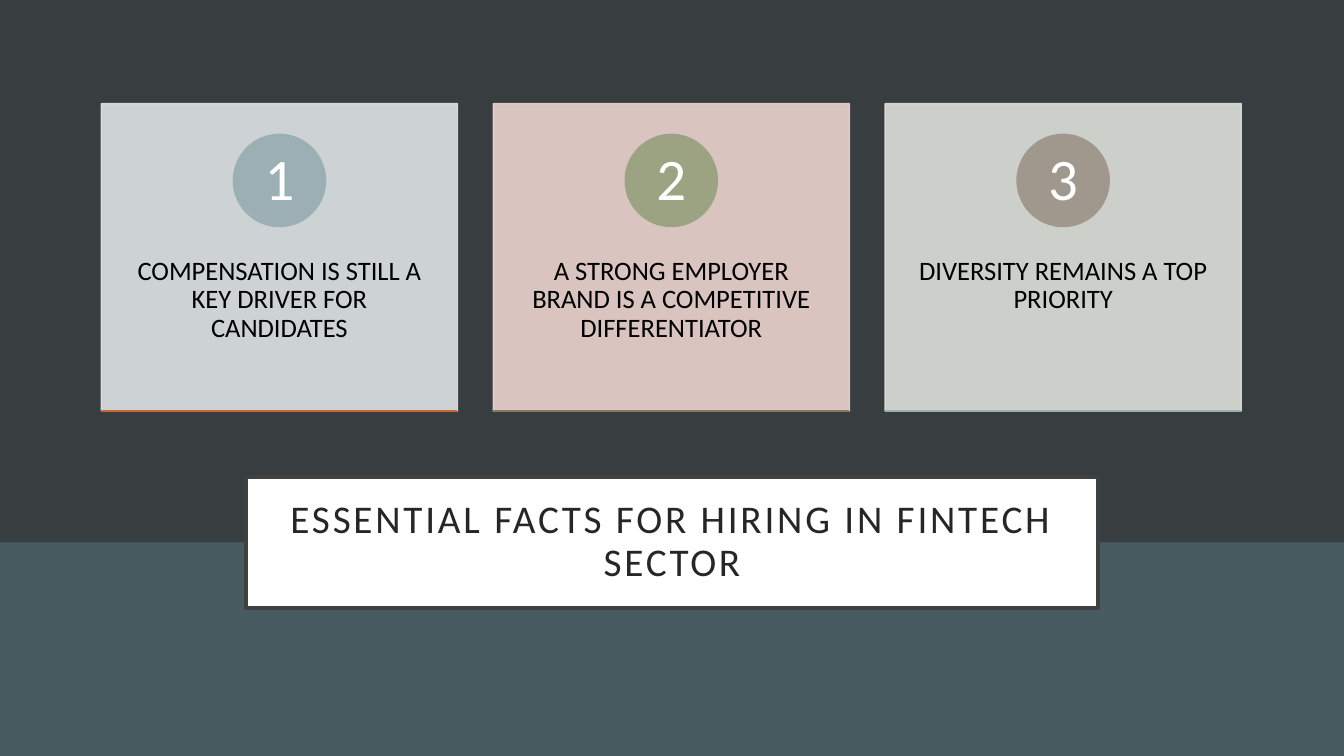
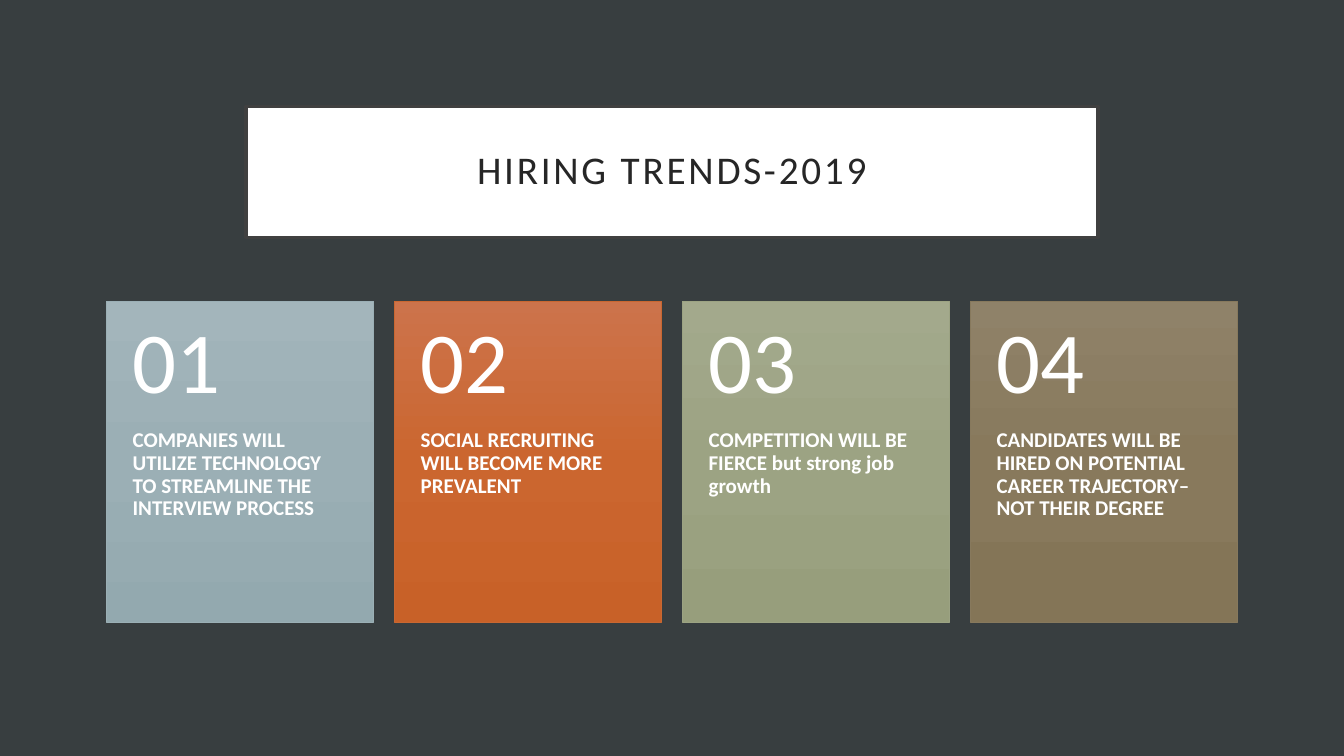
from copy import deepcopy

from lxml.etree import SubElement
from pptx import Presentation
from pptx.dml.color import RGBColor
from pptx.enum.shapes import MSO_CONNECTOR as Connector, MSO_SHAPE as Shape
from pptx.enum.text import MSO_ANCHOR as Anchor, PP_ALIGN as Align
from pptx.oxml.ns import qn
from pptx.util import Pt

FONT = "Calibri"
SLIDE_WIDTH, SLIDE_HEIGHT = 960, 540
DARK, TEAL, WHITE, BLACK = "383E40", "475B61", "FFFFFF", "000000"
TITLE_LINE, TITLE_TEXT = "404040", "262626"
BLUE, ORANGE, GREEN, BROWN, TAUPE = "9BAFB5", "C96731", "9CA383", "87795D", "A0988C"

FACTS_TITLE = "ESSENTIAL FACTS FOR HIRING IN FINTECH SECTOR"
FACTS = [
    ("COMPENSATION IS STILL A KEY DRIVER FOR CANDIDATES", "DEE3E5", BLUE, ORANGE),
    ("A STRONG EMPLOYER BRAND IS A COMPETITIVE DIFFERENTIATOR", "EBD3CE", GREEN, BROWN),
    ("DIVERSITY REMAINS A TOP PRIORITY", "DEE0D9", TAUPE, BLUE),
]

TRENDS_TITLE = "HIRING TRENDS-2019"
TRENDS = [
    ("COMPANIES WILL UTILIZE TECHNOLOGY TO STREAMLINE THE INTERVIEW PROCESS",
     BLUE, ("A3B5BB", "9BAFB5", "93A9AF")),
    ("SOCIAL RECRUITING WILL BECOME MORE PREVALENT",
     ORANGE, ("CC734B", "CB662F", "C86128")),
    ("COMPETITION WILL BE FIERCE but strong job growth",
     GREEN, ("A3A98C", "9CA383", "979E7C")),
    ("CANDIDATES WILL BE HIRED ON POTENTIAL CAREER TRAJECTORY–NOT THEIR DEGREE",
     BROWN, ("8F8269", "88795C", "847557")),
]


def paint(color_format, color):
    color_format.rgb = RGBColor.from_string(color)


def set_opacity(fill_parent, percent):
    for color in fill_parent.iter(qn("a:srgbClr")):
        SubElement(color, qn("a:alpha")).set("val", str(percent * 1000))


def add_box(slide, preset, left, top, width, height, fill, line=None, line_width=1):
    shape = slide.shapes.add_shape(preset, Pt(left), Pt(top), Pt(width), Pt(height))
    shape.shadow.inherit = False
    shape.fill.solid()
    paint(shape.fill.fore_color, fill)
    if line:
        paint(shape.line.color, line)
        shape.line.width = Pt(line_width)
    else:
        shape.line.fill.background()
    return shape


def write(shape, text, size, color, insets, align=Align.LEFT, anchor=Anchor.TOP, bold=False):
    frame = shape.text_frame
    frame.word_wrap = True
    frame.vertical_anchor = anchor
    frame.margin_left, frame.margin_top, frame.margin_right, frame.margin_bottom = map(Pt, insets)
    paragraph = frame.paragraphs[0]
    paragraph.text = text
    paragraph.alignment = align
    paragraph.line_spacing = 0.9
    font = paragraph.font
    font.name, font.size, font.bold = FONT, Pt(size), bold
    paint(font.color, color)
    return paragraph


def fill_gradient(shape, colors):
    shape.fill.gradient()
    shape.fill.gradient_angle = 270
    first = shape.fill._xPr.find(".//" + qn("a:gs"))
    first.addnext(deepcopy(first))
    for stop, color, position in zip(shape.fill.gradient_stops, colors, (0, 0.5, 1)):
        paint(stop.color, color)
        stop.position = position


def add_rule(slide, left, right, y, color):
    rule = slide.shapes.add_connector(Connector.STRAIGHT, Pt(left), Pt(y), Pt(right), Pt(y))
    paint(rule.line.color, color)
    rule.line.width = Pt(1)
    SubElement(rule._element.spPr, qn("a:effectLst"))


def add_slide(presentation):
    slide = presentation.slides.add_slide(presentation.slide_layouts[6])
    slide.background.fill.solid()
    paint(slide.background.fill.fore_color, DARK)
    return slide


def add_title(slide, text, top):
    width = 608.4
    title = add_box(slide, Shape.RECTANGLE, (SLIDE_WIDTH - width) / 2, top, width, 93.6,
                    WHITE, TITLE_LINE, 2.5)
    paragraph = write(title, text, 28, TITLE_TEXT, (14.4,) * 4, Align.CENTER, Anchor.MIDDLE)
    paragraph.runs[0]._r.get_or_add_rPr().set("spc", "200")


def build_facts(presentation):
    slide = add_slide(presentation)
    band_top = 387.4
    add_box(slide, Shape.RECTANGLE, 0, band_top, SLIDE_WIDTH, SLIDE_HEIGHT - band_top, TEAL)
    add_title(slide, FACTS_TITLE, 340.6)
    first_left, pitch, top, width, height, badge_size = 72.4, 279.9, 74, 254.4, 219.6, 65.8
    for index, (text, fill, badge_color, rule_color) in enumerate(FACTS):
        left = first_left + index * pitch
        card = add_box(slide, Shape.RECTANGLE, left, top, width, height, fill, fill)
        set_opacity(card._element.spPr, 90)
        write(card, text, 19, BLACK, (20, 109.6, 20, 26), Align.CENTER)
        badge = add_box(slide, Shape.OVAL, left + (width - badge_size) / 2, top + 22,
                        badge_size, badge_size, badge_color, badge_color)
        write(badge, str(index + 1), 42, WHITE, (0, 1, 0, 0), Align.CENTER, Anchor.MIDDLE)
        add_rule(slide, left, left + width, top + height, rule_color)


def build_trends(presentation):
    slide = add_slide(presentation)
    add_title(slide, TRENDS_TITLE, 76)
    first_left, pitch, top, width, height, number_height = 76, 205.7, 215.2, 191, 229.2, 91.6
    for index, (text, line, colors) in enumerate(TRENDS):
        left = first_left + index * pitch
        card = add_box(slide, Shape.RECTANGLE, left, top, width, height, line, line, 0.5)
        fill_gradient(card, colors)
        write(card, text, 15, WHITE, (18.8, number_height, 18.8, 26), bold=True)
        number = slide.shapes.add_textbox(Pt(left), Pt(top), Pt(width), Pt(number_height))
        write(number, f"{index + 1:02}", 62, WHITE, (18.8, 13, 18.8, 13), anchor=Anchor.MIDDLE)


def main():
    presentation = Presentation()
    presentation.slide_width, presentation.slide_height = Pt(SLIDE_WIDTH), Pt(SLIDE_HEIGHT)
    build_facts(presentation)
    build_trends(presentation)
    presentation.save("out.pptx")


if __name__ == "__main__":
    main()
